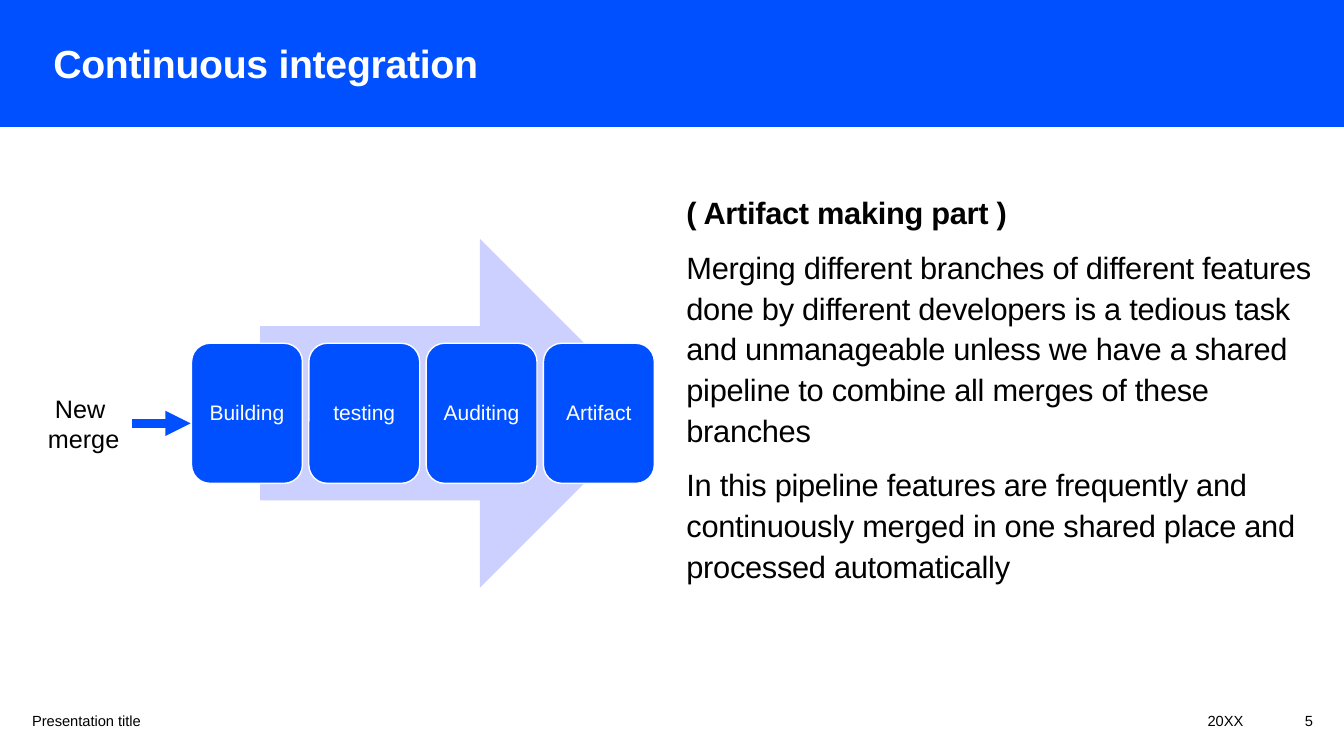
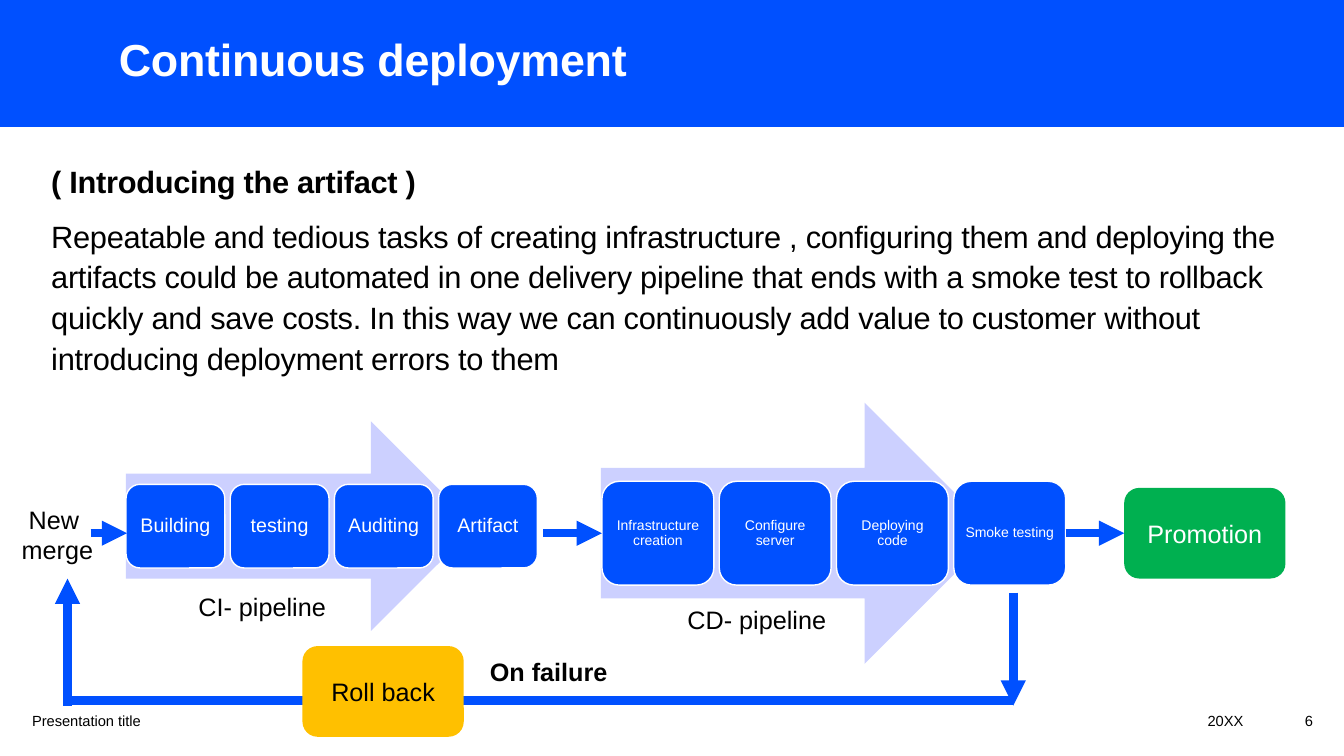
from lxml.etree import SubElement
from pptx import Presentation
from pptx.dml.color import RGBColor
from pptx.enum.shapes import MSO_CONNECTOR as Connector, MSO_SHAPE as Shape
from pptx.enum.text import MSO_ANCHOR as Anchor, PP_ALIGN as Align
from pptx.oxml.ns import qn
from pptx.util import Inches, Pt

COLORS = {
    "blue": "0050FF",
    "pale": "CCD0FF",
    "white": "FFFFFF",
    "black": "000000",
    "green": "00B050",
    "amber": "FFC000",
}
FONT = "Arial"
WIDTH, HEIGHT = 13.33, 7.5
TOP, LEFT, RIGHT = 0, 1, 3
MERGE_STEPS = ["Building", "testing", "Auditing", "Artifact"]
DELIVERY_STEPS = ["Infrastructure creation", "Configure server", "Deploying code", "Smoke testing"]


def color(name):
    return RGBColor.from_string(COLORS[name])


class Slides:
    def __init__(self):
        self.deck = Presentation()
        self.deck.slide_width, self.deck.slide_height = Inches(WIDTH), Inches(HEIGHT)
        self.page = None

    def start(self, title, number, left, top, size):
        self.page = self.deck.slides.add_slide(self.deck.slide_layouts[6])
        self.block(Shape.RECTANGLE, 0, 0, WIDTH, 1.26, "blue")
        self.text([title], left, top, 11.28, 0.68, size, "white", bold=True,
                  anchor=Anchor.MIDDLE, line_spacing=0.9, tracking=-20)
        footers = [
            ("Presentation title", 0.22, 5.29, Align.LEFT),
            ("20XX", 7.67, 4.76, Align.RIGHT),
            (number, 12.43, 0.69, Align.RIGHT),
        ]
        for words, start, width, align in footers:
            self.text([words], start, 6.95, width, 0.4, 10.5, align=align, anchor=Anchor.MIDDLE)

    def style(self, para, size, ink, bold=False, align=Align.LEFT, tracking=None):
        para.alignment = align
        font = para.font
        font.name, font.size, font.bold = FONT, Pt(size), bold
        font.color.rgb = color(ink)
        if tracking is not None:
            font._rPr.set("spc", str(tracking))

    def text(self, lines, left, top, width, height, size=18, ink="black", bold=False,
             align=Align.LEFT, anchor=Anchor.TOP, line_spacing=None, tracking=None, wrap=True):
        box = self.page.shapes.add_textbox(Inches(left), Inches(top), Inches(width), Inches(height))
        frame = box.text_frame
        frame.word_wrap, frame.vertical_anchor = wrap, anchor
        frame.text = "\n".join(lines)
        for para in frame.paragraphs:
            self.style(para, size, ink, bold, align, tracking)
            if line_spacing:
                para.line_spacing = line_spacing
        return box

    def body(self, lines, left, top, width, height):
        box = self.text(lines, left, top, width, height, 22, line_spacing=1.1, tracking=-20)
        for para in box.text_frame.paragraphs:
            para.space_before = Pt(10)
        box.text_frame.paragraphs[0].font.bold = True

    def label(self, lines, left, top, width, **options):
        self.text(lines, left, top, width, 0.4, wrap=False, **options)

    def block(self, kind, left, top, width, height, fill, outline=None):
        shape = self.page.shapes.add_shape(
            kind, Inches(left), Inches(top), Inches(width), Inches(height))
        shape.shadow.inherit = False
        shape.fill.solid()
        shape.fill.fore_color.rgb = color(fill)
        if outline:
            shape.line.color.rgb = color(outline)
            shape.line.width = Pt(1)
        else:
            shape.line.fill.background()
        return shape

    def card(self, words, left, top, width, height, fill="blue", ink="white", size=18, outline=None):
        shape = self.block(Shape.ROUNDED_RECTANGLE, left, top, width, height, fill, outline)
        frame = shape.text_frame
        frame.word_wrap, frame.vertical_anchor = True, Anchor.MIDDLE
        frame.margin_left = frame.margin_right = Inches(0.05)
        frame.text = words
        self.style(frame.paragraphs[0], size, ink, align=Align.CENTER)
        return shape

    def pipeline(self, names, left, width, middle, step, arrow, size):
        arrow_left, arrow_width, arrow_height = arrow
        self.block(Shape.RIGHT_ARROW, arrow_left, middle - arrow_height / 2,
                   arrow_width, arrow_height, "pale")
        step_width, step_height = step
        pitch = (width - step_width) / (len(names) - 1)
        cards = []
        for index, name in enumerate(names):
            card = self.card(name, left + index * pitch, middle - step_height / 2,
                             step_width, step_height, size=size, outline="white")
            card.text_frame.paragraphs[0].line_spacing = 0.9
            cards.append(card)
        return cards

    def line(self, start, end, arrow=True, source=None, target=None):
        link = self.page.shapes.add_connector(
            Connector.STRAIGHT, *(Inches(value) for value in (*start, *end)))
        link.line.color.rgb = color("blue")
        link.line.width = Pt(6)
        if arrow:
            SubElement(link.line._get_or_add_ln(), qn("a:tailEnd"), type="triangle")
        SubElement(link._element.spPr, qn("a:effectLst"))
        if source:
            link.begin_connect(source, RIGHT)
        if target:
            link.end_connect(target, LEFT)

    def new_merge(self, left, top):
        self.text(["New ", "merge"], left, top, 0.96, 0.71, align=Align.CENTER, wrap=False)


def integration(slides):
    slides.start("Continuous integration", "5", 0.43, 0.31, 28)
    slides.body([
        "( Artifact making part )",
        "Merging different branches of different features done by different developers is a "
        "tedious task and unmanageable unless we have a shared pipeline to combine all merges "
        "of these branches",
        "In this pipeline features are frequently and continuously merged in one shared place "
        "and processed automatically",
    ], 6.71, 1.84, 6.41, 4.73)
    slides.pipeline(MERGE_STEPS, 1.9, 4.59, 4.1, (1.1, 1.39), (2.58, 3.91, 3.46), 15)
    slides.new_merge(0.35, 3.85)
    slides.line((1.31, 4.2), (1.89, 4.2))


def deployment(slides):
    slides.start("Continuous deployment", "6", 1.08, 0.27, 32)
    slides.body([
        "( Introducing the artifact )",
        "Repeatable and tedious tasks of creating infrastructure , configuring them and "
        "deploying the artifacts could be automated in one delivery pipeline that ends with a "
        "smoke test to rollback quickly and save costs. In this way we can continuously add "
        "value to customer without introducing deployment errors to them",
    ], 0.41, 1.53, 12.71, 2.41)

    middle = 5.29
    delivery = slides.pipeline(DELIVERY_STEPS, 5.97, 4.6, middle, (1.11, 1.03), (5.96, 3.91, 2.59), 10)
    slides.pipeline(MERGE_STEPS, 1.25, 4.08, 5.22, (0.98, 0.83), (1.25, 3.47, 2.08), 14)
    promotion = slides.card("Promotion", 11.15, middle - 0.45, 1.6, 0.9, "green")

    slides.line((10.05, 6.95), (0.67, 6.95), arrow=False)
    slides.line((10.05, 5.88), (10.05, 7))
    slides.line((10.57, middle), (11.15, middle), source=delivery[-1], target=promotion)
    slides.line((5.39, middle), (5.97, middle), target=delivery[0])
    slides.card("Roll back", 3, 6.41, 1.6, 0.9, "amber", "black")
    slides.label(["CI- pipeline"], 1.87, 5.82, 1.54)
    slides.label(["CD- pipeline"], 6.72, 5.95, 1.66)
    slides.label(["On failure"], 4.76, 6.46, 1.42, bold=True)
    slides.new_merge(0.09, 4.95)
    slides.line((0.9, middle), (1.26, middle))
    slides.line((0.67, 7), (0.67, 5.74))


def main():
    slides = Slides()
    integration(slides)
    deployment(slides)
    slides.deck.save("out.pptx")


if __name__ == "__main__":
    main()
